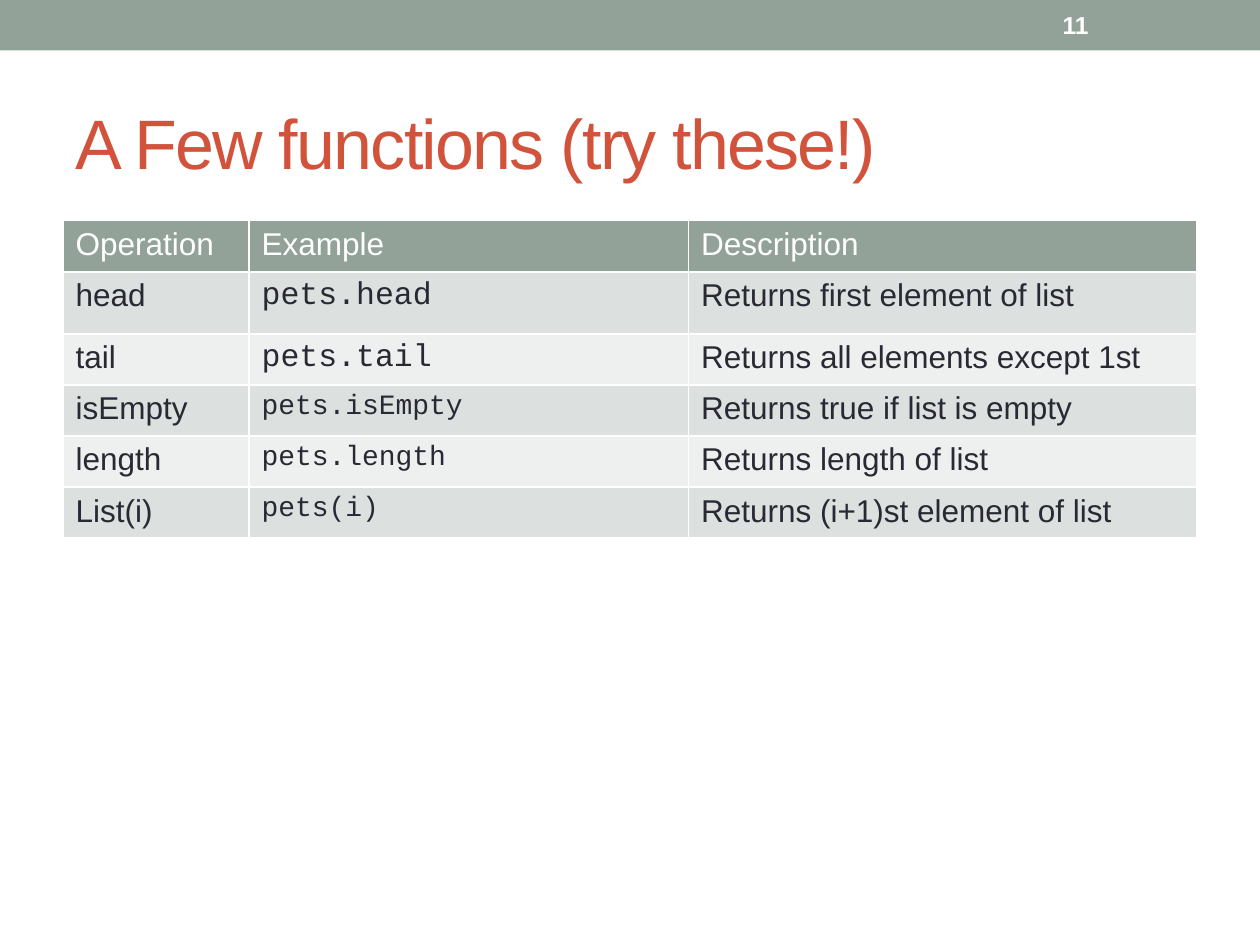
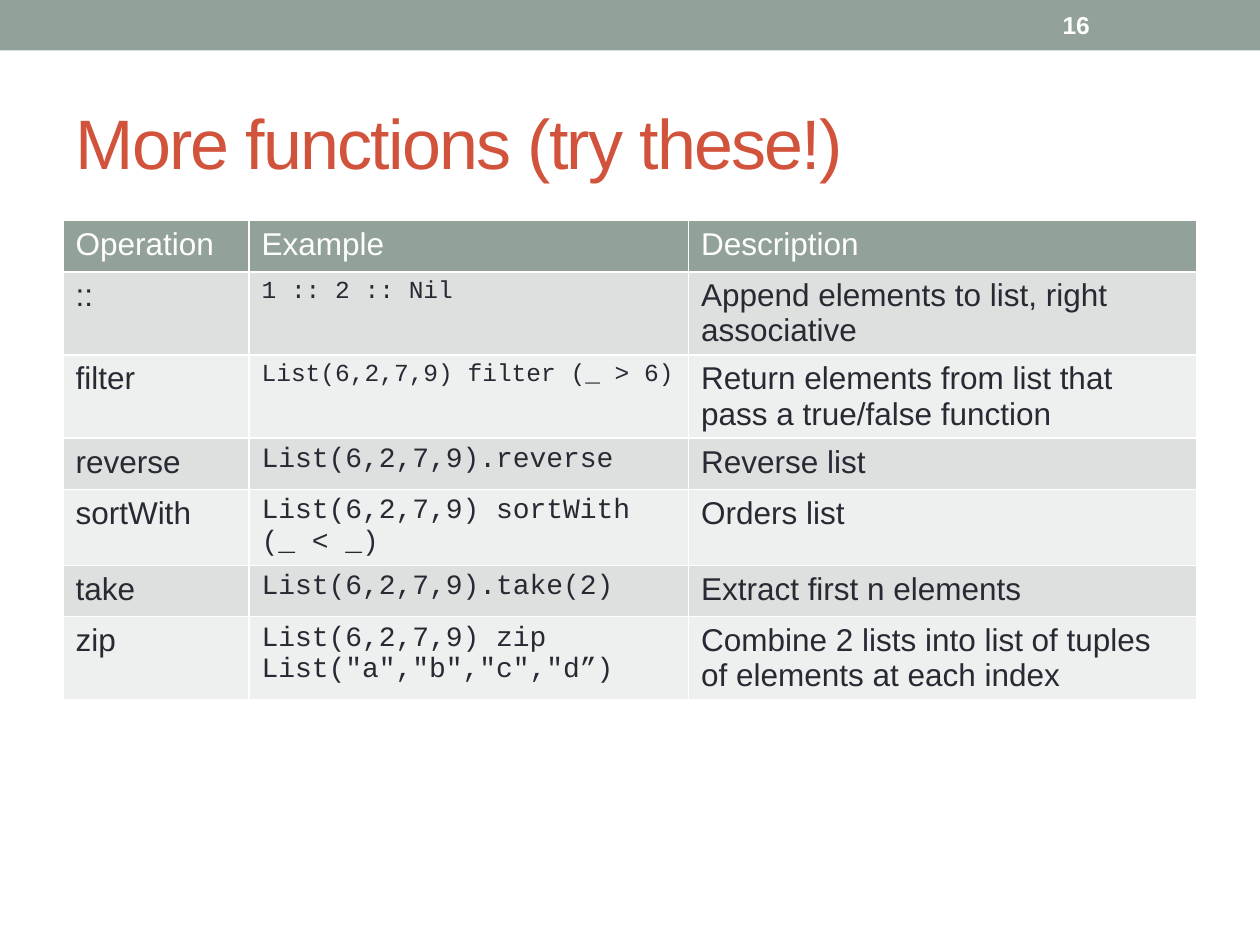
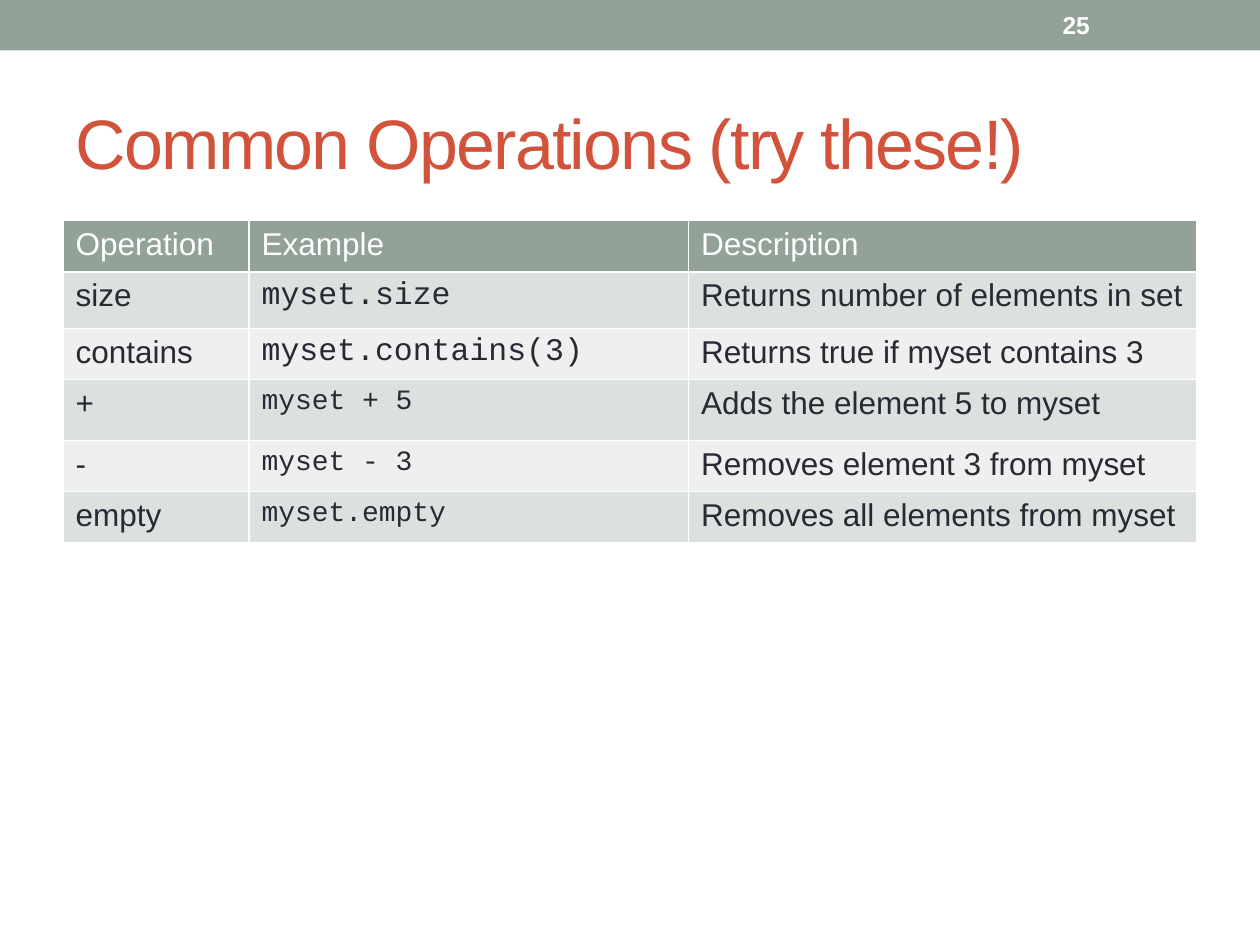
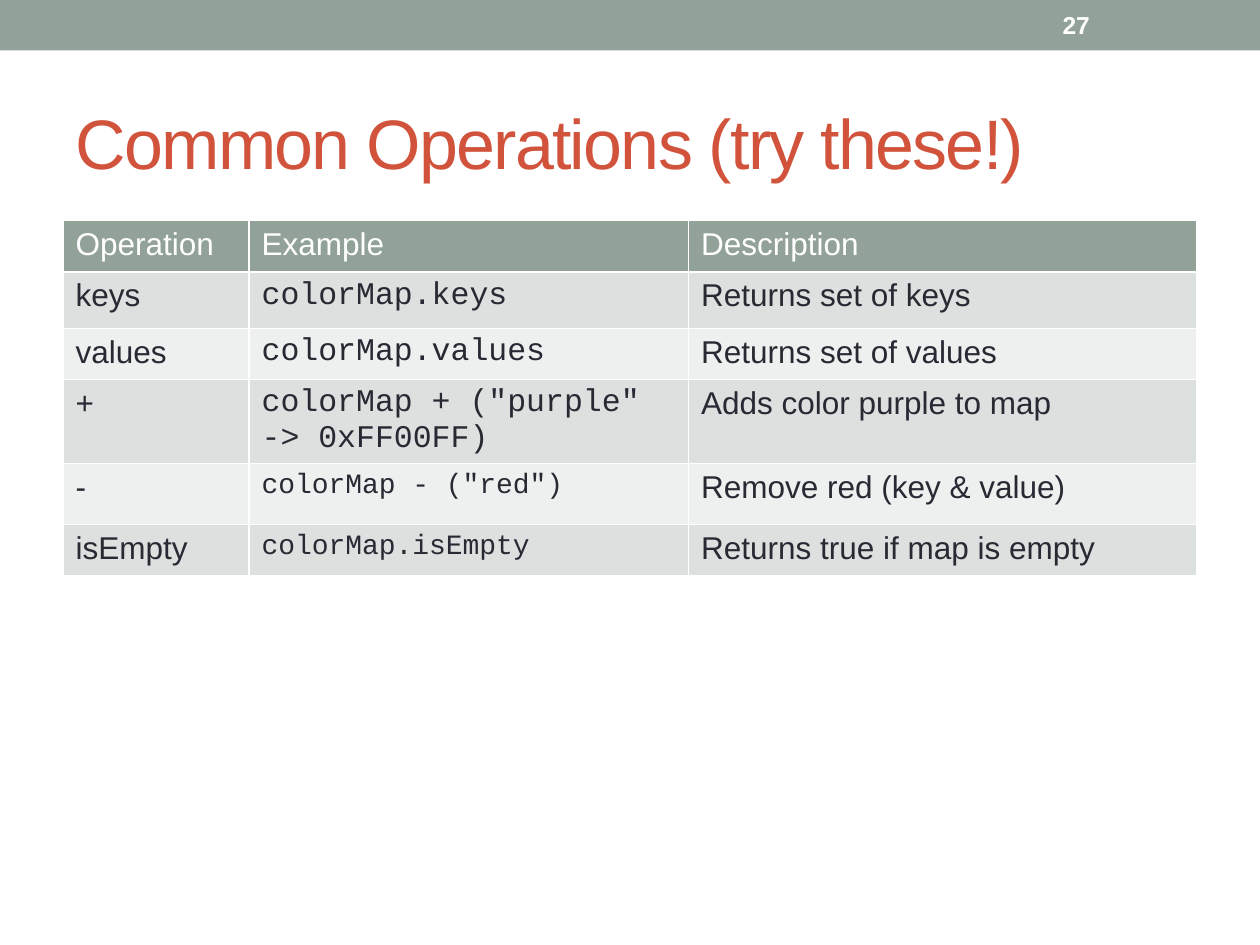
from pptx import Presentation
from pptx.dml.color import RGBColor
from pptx.enum.shapes import MSO_SHAPE
from pptx.enum.text import MSO_ANCHOR, MSO_AUTO_SIZE, PP_ALIGN
from pptx.oxml.ns import qn
from pptx.util import Cm, Pt
from lxml.etree import SubElement

SAGE, RUST, INK, WHITE = "93A299", "D2533C", "292934", "FFFFFF"
STRIPES = ("DCE0DE", "EEF0EF")
SANS, MONO = "Arial", "Courier New"
WIDTH, HEIGHT = 25.4, 19.05
BAND = (0, 0, WIDTH, 1.02)
TITLE = (1.27, 1.49, 22.86, 2.74)
GRID = (1.27, 4.45, 22.86)
NUMBER = (21.17, 0.05, 2.97, 0.91)
SHARES = (3.75 / 22.86, 8.86 / 22.86, 10.25 / 22.86)
ROW = 1.03
HEADS = ("Operation", "Example", "Description")

PAGES = [
    ("11", "A Few functions (try these!)", [
        ("head", "pets.head", 18, "Returns first element of list", 1.25),
        ("tail", "pets.tail", 18, "Returns all elements except 1st", ROW),
        ("isEmpty", "pets.isEmpty", 16, "Returns true if list is empty", ROW),
        ("length", "pets.length", 16, "Returns length of list", ROW),
        ("List(i)", "pets(i)", 16, "Returns (i+1)st element of list", ROW),
    ]),
    ("16", "More functions (try these!)", [
        ("::", "1 :: 2 :: Nil", 14, "Append elements to list, right associative", ROW),
        ("filter", "List(6,2,7,9) filter (_ > 6)", 14,
         "Return elements from list that pass a true/false function", ROW),
        ("reverse", "List(6,2,7,9).reverse", 16, "Reverse list", ROW),
        ("sortWith", "List(6,2,7,9) sortWith (_ < _)", 16, "Orders list", ROW),
        ("take", "List(6,2,7,9).take(2)", 16, "Extract first n elements", ROW),
        ("zip", 'List(6,2,7,9) zip List("a","b","c","d”)', 16,
         "Combine 2 lists into list of tuples of elements at each index", ROW),
    ]),
    ("25", "Common Operations (try these!)", [
        ("size", "myset.size", 18, "Returns number of elements in set", 1.14),
        ("contains", "myset.contains(3)", 18, "Returns true if myset contains 3", ROW),
        ("+", "myset + 5", 16, "Adds the element 5 to myset", 1.23),
        ("-", "myset - 3", 16, "Removes element 3 from myset", ROW),
        ("empty", "myset.empty", 16, "Removes all elements from myset", ROW),
    ]),
    ("27", "Common Operations (try these!)", [
        ("keys", "colorMap.keys", 18, "Returns set of keys", 1.14),
        ("values", "colorMap.values", 18, "Returns set of values", ROW),
        ("+", 'colorMap + ("purple" -> 0xFF00FF)', 18, "Adds color purple to map", 1.23),
        ("-", 'colorMap - ("red")', 16, "Remove red (key & value)", 1.23),
        ("isEmpty", "colorMap.isEmpty", 16, "Returns true if map is empty", ROW),
    ]),
]


def paint(target, shade):
    """Give a fill or a font a colour from a hex string."""
    if hasattr(target, "solid"):
        target.solid()
        target.fore_color.rgb = RGBColor.from_string(shade)
    else:
        target.color.rgb = RGBColor.from_string(shade)


def apply(target, values):
    """Set each named attribute of the target."""
    for name, value in values.items():
        setattr(target, name, value)


def write(frame, text, shade, size, face=SANS, bold=False):
    """Write one left-aligned run into a text frame and return it."""
    para = frame.paragraphs[0]
    para.alignment = PP_ALIGN.LEFT
    run = para.add_run()
    run.text = text
    apply(run.font, {"name": face, "size": Pt(size), "bold": bold})
    paint(run.font, shade)
    return run


def add_band(slide, box):
    """Draw the plain band along the top of the slide."""
    band = slide.shapes.add_shape(MSO_SHAPE.RECTANGLE, *map(Cm, box))
    band.shadow.inherit = False
    paint(band.fill, SAGE)
    band.line.fill.background()


def add_title(slide, text, box):
    """Place the title and set its tight heading style."""
    title = slide.shapes.title
    apply(title, dict(zip(("left", "top", "width", "height"), map(Cm, box))))
    apply(title.text_frame, {"vertical_anchor": MSO_ANCHOR.MIDDLE,
                             "auto_size": MSO_AUTO_SIZE.NONE, "word_wrap": True})
    run = write(title.text_frame, text, RUST, 40)
    run.font._element.set("spc", "-100")


def add_number(slide, text, box):
    """Put the page number in the top band."""
    frame = slide.shapes.add_textbox(*map(Cm, box)).text_frame
    apply(frame, {"vertical_anchor": MSO_ANCHOR.MIDDLE, "word_wrap": True})
    write(frame, text, WHITE, 14, bold=True)


def edge(cell):
    """Draw thin white borders on all sides of a cell."""
    props = cell._tc.get_or_add_tcPr()
    for place, side in enumerate(("lnL", "lnR", "lnT", "lnB")):
        line = SubElement(props, qn(f"a:{side}"), w=str(Pt(1)))
        fill = SubElement(line, qn("a:solidFill"))
        SubElement(fill, qn("a:srgbClr"), val=WHITE)
        props.insert(place, line)


def fill_row(cells, texts, sizes, shade, ink, code):
    """Fill one table row, with its middle cell set in the code font."""
    for cell, text, size, face in zip(cells, texts, sizes, (SANS, code, SANS)):
        paint(cell.fill, shade)
        write(cell.text_frame, text, ink, size, face)
        edge(cell)


def add_grid(slide, rows, box):
    """Build the table of operations with a header and striped rows."""
    left, top, width = box
    tall = [ROW] + [row[-1] for row in rows]
    table = slide.shapes.add_table(
        len(tall), len(HEADS), *map(Cm, (left, top, width, sum(tall)))).table
    for column, share in zip(table.columns, SHARES):
        column.width = Cm(width * share)
    for line, height in zip(table.rows, tall):
        line.height = Cm(height)
    fill_row(table.rows[0].cells, HEADS, (18, 18, 18), SAGE, WHITE, SANS)
    for index, (name, code, size, note, _) in enumerate(rows):
        fill_row(table.rows[index + 1].cells, (name, code, note), (18, size, 18),
                 STRIPES[index % 2], INK, MONO)


def main():
    """Build the slides and save the deck."""
    deck = Presentation()
    apply(deck, {"slide_width": Cm(WIDTH), "slide_height": Cm(HEIGHT)})
    for number, title, rows in PAGES:
        slide = deck.slides.add_slide(deck.slide_layouts[5])
        add_band(slide, BAND)
        add_title(slide, title, TITLE)
        add_grid(slide, rows, GRID)
        add_number(slide, number, NUMBER)
    deck.save("out.pptx")


if __name__ == "__main__":
    main()
